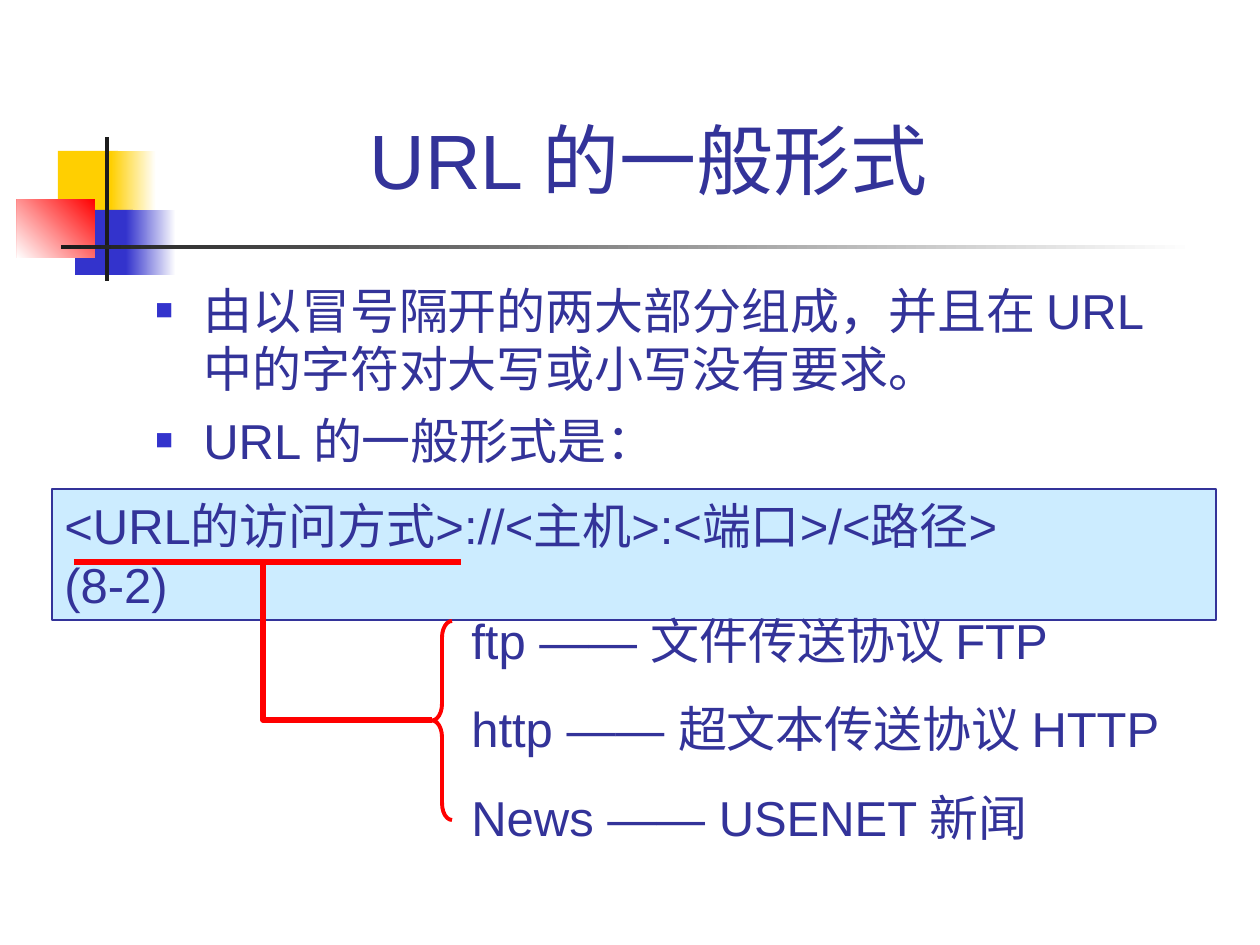
from lxml.etree import SubElement
from pptx import Presentation
from pptx.dml.color import RGBColor
from pptx.enum.shapes import MSO_CONNECTOR, MSO_SHAPE
from pptx.enum.text import MSO_ANCHOR, PP_ALIGN
from pptx.oxml.ns import qn
from pptx.util import Pt

PX = 914400 / 126
FONT = "Arial"
NAVY = RGBColor(0x33, 0x33, 0x99)
BLUE = RGBColor(0x33, 0x33, 0xCC)
YELLOW = RGBColor(0xFF, 0xCF, 0x01)
RED = RGBColor(0xFF, 0x00, 0x00)
BLACK = RGBColor(0x1C, 0x1C, 0x1C)
PALE_BLUE = RGBColor(0xCC, 0xEC, 0xFF)
WHITE = RGBColor(0xFF, 0xFF, 0xFF)

# left, top, width, height, colour, fade angle (None is a solid fill)
ORNAMENT = [
    (58, 151, 60, 66, YELLOW, None),
    (111, 151, 45, 66, YELLOW, 0),
    (75, 210, 58, 65, BLUE, None),
    (126, 210, 50, 65, BLUE, 0),
    (17, 199, 78, 59, RED, 225),
    (105, 137, 4, 144, BLACK, None),
    (61, 245, 1134, 4, BLACK, 0),
]
POINTS = [
    "由以冒号隔开的两大部分组成，并且在 URL 中的字符对大写或小写没有要求。",
    "URL 的一般形式是：",
]
URL_FORM = "<URL的访问方式>://<主机>:<端口>/<路径>"
METHODS = [
    "ftp —— 文件传送协议 FTP",
    "http —— 超文本传送协议 HTTP",
    "News —— USENET 新闻",
]


def px(*values):
    return [round(v * PX) for v in values]


def add_rect(slide, box, color, fade=None):
    """Add a rectangle, solid or fading to white along the fade angle."""
    s = slide.shapes.add_shape(MSO_SHAPE.RECTANGLE, *px(*box))
    s.shadow.inherit = False
    s.line.fill.background()
    if fade is None:
        s.fill.solid()
        s.fill.fore_color.rgb = color
    else:
        s.fill.gradient()
        s.fill.gradient_angle = fade
        for stop, rgb in zip(s.fill.gradient_stops, (color, WHITE)):
            stop.color.rgb = rgb
    return s


def add_run(p, text, size=28):
    r = p.add_run()
    r.text = text
    r.font.name = FONT
    r.font.size = Pt(size)
    r.font.color.rgb = NAVY


def add_text(slide, box, lines, size=28):
    tf = slide.shapes.add_textbox(*px(*box)).text_frame
    tf.word_wrap = True
    for i, line in enumerate(lines):
        p = tf.add_paragraph() if i else tf.paragraphs[0]
        add_run(p, line, size)
    return tf


def add_bullet(p):
    pPr = p._p.get_or_add_pPr()
    indent = px(48)[0]
    pPr.set("marL", str(indent))
    pPr.set("indent", str(-indent))
    color = SubElement(pPr, qn("a:buClr"))
    SubElement(color, qn("a:srgbClr"), val=str(BLUE))
    SubElement(pPr, qn("a:buSzPct"), val="60000")
    SubElement(pPr, qn("a:buFont"), typeface=FONT)
    SubElement(pPr, qn("a:buChar"), char="■")


def style_red_line(s, width):
    s.line.color.rgb = RED
    s.line.width = Pt(width)


def add_form_box(slide):
    s = add_rect(slide, (52, 489, 1164, 131), PALE_BLUE)
    s.line.color.rgb = NAVY
    s.line.width = Pt(0.75)
    tf = s.text_frame
    tf.word_wrap = True
    tf.vertical_anchor = MSO_ANCHOR.TOP
    p = tf.paragraphs[0]
    p.alignment = PP_ALIGN.LEFT
    add_run(p, URL_FORM)
    p.add_line_break()
    add_run(p, "(8-2)")


def add_method_link(slide):
    """Underline the access method and lead from it to the brace."""
    underline = slide.shapes.add_connector(
        MSO_CONNECTOR.STRAIGHT, *px(74, 562, 461, 562))
    SubElement(underline._element.spPr, qn("a:effectLst"))
    style_red_line(underline, 3)

    builder = slide.shapes.build_freeform(263, 562, scale=PX)
    builder.add_line_segments([(263, 720), (432, 720)], close=False)
    elbow = builder.convert_to_shape()
    brace = slide.shapes.add_shape(MSO_SHAPE.LEFT_BRACE, *px(432, 621, 20, 199))
    brace.adjustments[0] = 0.83
    for s, width in ((elbow, 3), (brace, 2.25)):
        s.shadow.inherit = False
        s.fill.background()
        style_red_line(s, width)


def main():
    prs = Presentation()
    prs.slide_width, prs.slide_height = px(1260, 945)
    slide = prs.slides.add_slide(prs.slide_layouts[6])

    for *box, color, fade in ORNAMENT:
        add_rect(slide, box, color, fade)

    title = add_text(slide, (159, 95, 997, 116), ["URL 的一般形式 "], size=44)
    title.vertical_anchor = MSO_ANCHOR.BOTTOM
    title.paragraphs[0].alignment = PP_ALIGN.CENTER

    body = add_text(slide, (143, 274, 1071, 267), POINTS)
    for p in body.paragraphs:
        add_bullet(p)
    body.paragraphs[1].space_before = Pt(7)

    add_form_box(slide)
    add_method_link(slide)

    methods = add_text(slide, (459, 575, 756, 277), METHODS)
    for p in methods.paragraphs:
        p.line_spacing = 1.5

    prs.save("out.pptx")


if __name__ == "__main__":
    main()
